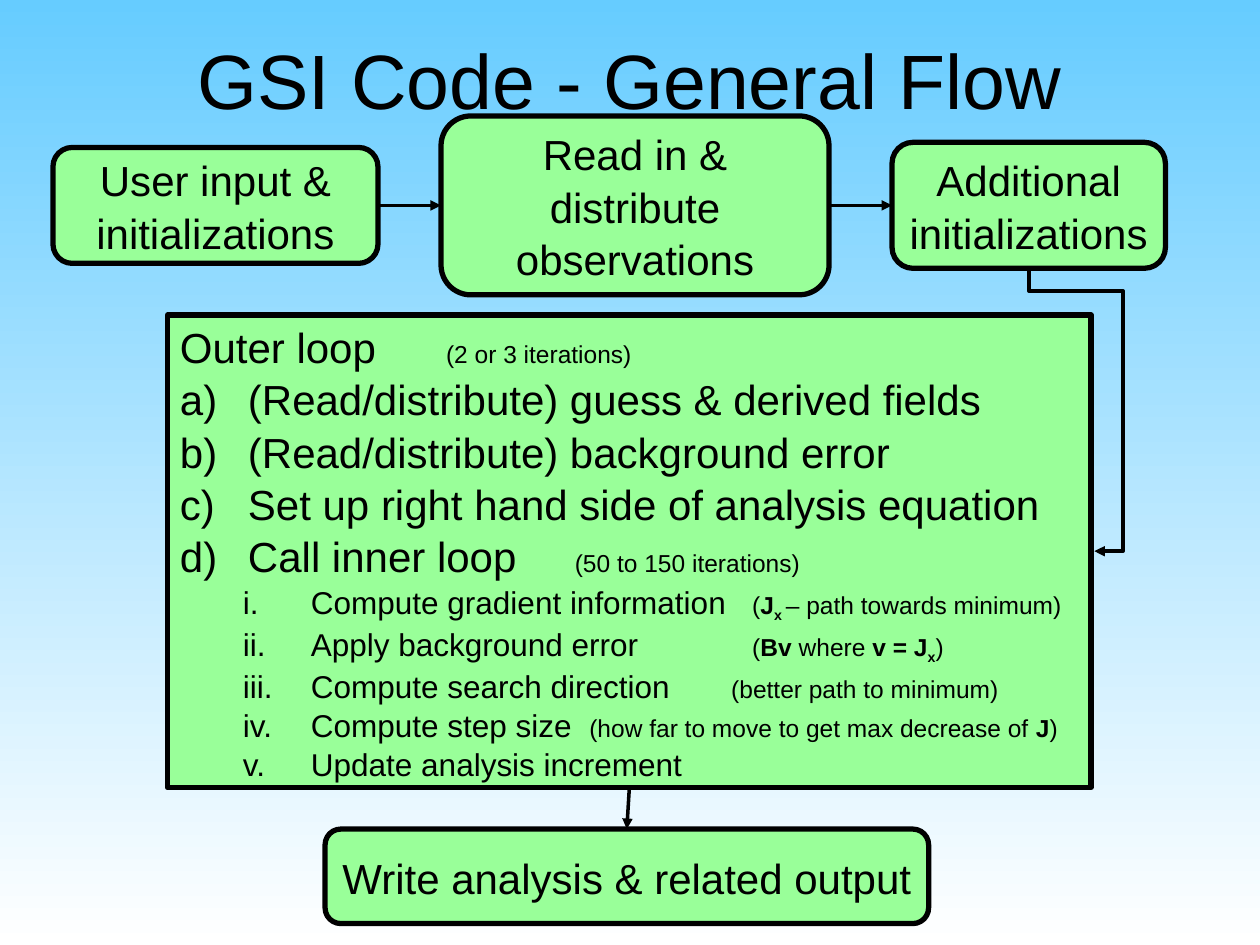
from lxml import etree
from pptx import Presentation
from pptx.dml.color import RGBColor
from pptx.enum.shapes import MSO_CONNECTOR, MSO_SHAPE
from pptx.enum.text import MSO_ANCHOR, PP_ALIGN
from pptx.oxml.ns import qn
from pptx.util import Inches, Pt

ROUND = MSO_SHAPE.FLOWCHART_ALTERNATE_PROCESS
PLAIN = MSO_SHAPE.FLOWCHART_PROCESS
STRAIGHT, ELBOW = MSO_CONNECTOR.STRAIGHT, MSO_CONNECTOR.ELBOW
MIDDLE, CENTER, LEFT = MSO_ANCHOR.MIDDLE, PP_ALIGN.CENTER, PP_ALIGN.LEFT
TOP, WEST, BOTTOM, EAST = range(4)

COLORS = {"sky": "66CCFF", "white": "FFFFFF", "box": "99FF99", "ink": "000000"}
RGB = {name: RGBColor.from_string(code) for name, code in COLORS.items()}
NOTE = {"size": Pt(14)}
BOLD = {"size": Pt(14), "bold": True}

prs = Presentation()
prs.slide_width, prs.slide_height = Inches(10), Inches(7.5)
slide = prs.slides.add_slide(prs.slide_layouts[6])
shapes = slide.shapes

back = slide.background.fill
back.gradient()
back.gradient_angle = 270
for stop, name, pos in zip(back.gradient_stops, ("sky", "white"), (0, 1)):
    stop.color.rgb = RGB[name]
    stop.position = pos


def write(para, text, form):
    run = para.add_run()
    run.text = text
    run.font.name = "Arial"
    run.font.color.rgb = RGB["ink"]
    for key, value in form.items():
        setattr(run.font, key, value)
    return run.font._element


def style(link):
    """Give a connector its black line and arrowhead, without a shadow."""
    link.line.color.rgb = RGB["ink"]
    link.line.width = Pt(2)
    etree.SubElement(link.line._get_or_add_ln(), qn("a:tailEnd"), type="triangle")
    etree.SubElement(link._element.spPr, qn("a:effectLst"))


# Title
title = shapes.add_textbox(Inches(0.75), 0, Inches(8.5), Inches(1.25)).text_frame
title.word_wrap = True
title.vertical_anchor = MIDDLE
title.paragraphs[0].alignment = CENTER
write(title.paragraphs[0], "GSI Code - General Flow", {"size": Pt(44)})

# Boxes
STEPS = {
    "input": (ROUND, (0.42, 1.17, 2.58, 0.92), ["User input &", "initializations"]),
    "read": (ROUND, (3.5, 0.92, 3.08, 1.42),
             ["Read in &", "distribute", "observations"]),
    "setup": (ROUND, (7.08, 1.13, 2.17, 1), ["Additional", "initializations"]),
    "loop": (PLAIN, (1.33, 2.5, 7.33, 3.75), []),
    "output": (ROUND, (2.58, 6.58, 4.79, 0.75), ["Write analysis & related output"]),
}
boxes = {}
for name, (kind, place, lines) in STEPS.items():
    box = boxes[name] = shapes.add_shape(kind, *map(Inches, place))
    box.shadow.inherit = False
    box.fill.solid()
    box.fill.fore_color.rgb = RGB["box"]
    box.line.color.rgb = RGB["ink"]
    box.line.width = Pt(3)
    frame = box.text_frame
    frame.word_wrap = kind == PLAIN
    frame.vertical_anchor = MIDDLE
    for i, line in enumerate(lines):
        para = frame.add_paragraph() if i else frame.paragraphs[0]
        para.alignment = CENTER
        para.line_spacing = 1.04
        write(para, line, {"size": Pt(24)})

# Outer loop: size, left margin and numbering of each level
LEVELS = {
    "head": (24, 0.54, None),
    "outer": (24, 0.54, "alphaLcParenR"),
    "inner": (18, 1.04, "romanLcPeriod"),
}
# Level, text, gap before the notes in space widths, notes
ITEMS = [
    ("head", "Outer loop", 6, [("(2 or 3 iterations)", NOTE, 0)]),
    ("outer", "(Read/distribute) guess & derived fields", 0, []),
    ("outer", "(Read/distribute) background error", 0, []),
    ("outer", "Set up right hand side of analysis equation", 0, []),
    ("outer", "Call inner loop", 5, [("(50 to 150 iterations)", NOTE, 0)]),
    ("inner", "Compute gradient information", 3,
     [("(", NOTE, 0), ("J", BOLD, 0), ("x ", BOLD, -25),
      ("– path towards minimum)", NOTE, 0)]),
    ("inner", "Apply background error", 13,
     [("(", NOTE, 0), ("Bv ", BOLD, 0), ("where ", NOTE, 0),
      ("v = J", BOLD, 0), ("x", BOLD, -25), (")", NOTE, 0)]),
    ("inner", "Compute search direction", 7, [("(better path to minimum)", NOTE, 0)]),
    ("inner", "Compute step size", 2,
     [("(how far to move to get max decrease of ", NOTE, 0),
      ("J", BOLD, 0), (")", NOTE, 0)]),
    ("inner", "Update analysis increment", 0, []),
]
frame = boxes["loop"].text_frame
for i, (level, text, gap, notes) in enumerate(ITEMS):
    size, left, count = LEVELS[level]
    para = frame.add_paragraph() if i else frame.paragraphs[0]
    para.alignment = LEFT
    para.line_spacing = 1.04
    para.level = 1 if level == "inner" else 0
    props = para._p.get_or_add_pPr()
    props.set("marL", str(Inches(left)))
    props.set("indent", str(Inches(-0.54)))
    if count:
        color = etree.SubElement(props, qn("a:buClr"))
        etree.SubElement(color, qn("a:srgbClr"), val=COLORS["ink"])
        etree.SubElement(props, qn("a:buAutoNum"), type=count)
    write(para, text, {"size": Pt(size)})
    if gap:
        # One space, widened by letter spacing (a space is 0.278 em)
        space = write(para, " ", {"size": Pt(size)})
        space.set("spc", str(round((gap - 1) * size * 27.8)))
    for note, form, shift in notes:
        font = write(para, note, form)
        if shift:
            font.set("baseline", str(shift * 1000))

# Arrows
LINKS = [
    ("input", EAST, "read", WEST),
    ("read", EAST, "setup", WEST),
    ("loop", BOTTOM, "output", TOP),
]
for start, out, end, into in LINKS:
    link = shapes.add_connector(STRAIGHT, 0, 0, 0, 0)
    link.begin_connect(boxes[start], out)
    link.end_connect(boxes[end], into)
    style(link)

# Elbow from the additional initializations round to the loop's right side
bend = shapes.add_connector(ELBOW, *map(Inches, (7.31, 3, 9.54, 3.52)))
turn = bend._element.spPr.find(qn("a:xfrm"))
turn.set("rot", str(270 * 60000))
turn.set("flipH", "1")
geom = bend._element.spPr.find(qn("a:prstGeom"))
geom.set("prst", "bentConnector4")
guides = geom.find(qn("a:avLst"))
for name, value in (("adj1", 7400), ("adj2", 144000)):
    etree.SubElement(guides, qn("a:gd"), name=name, fmla=f"val {value}")
style(bend)

prs.save("out.pptx")
